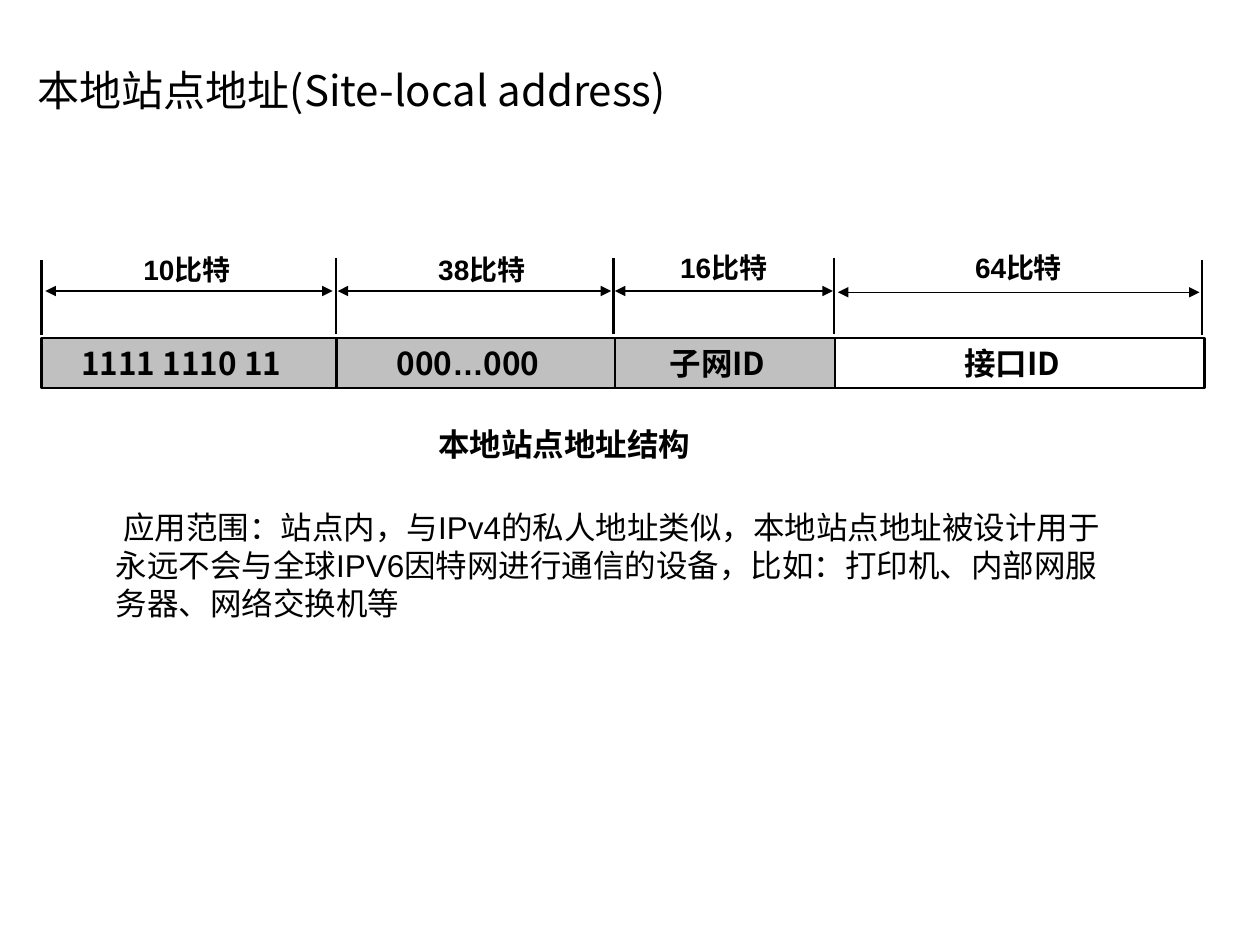
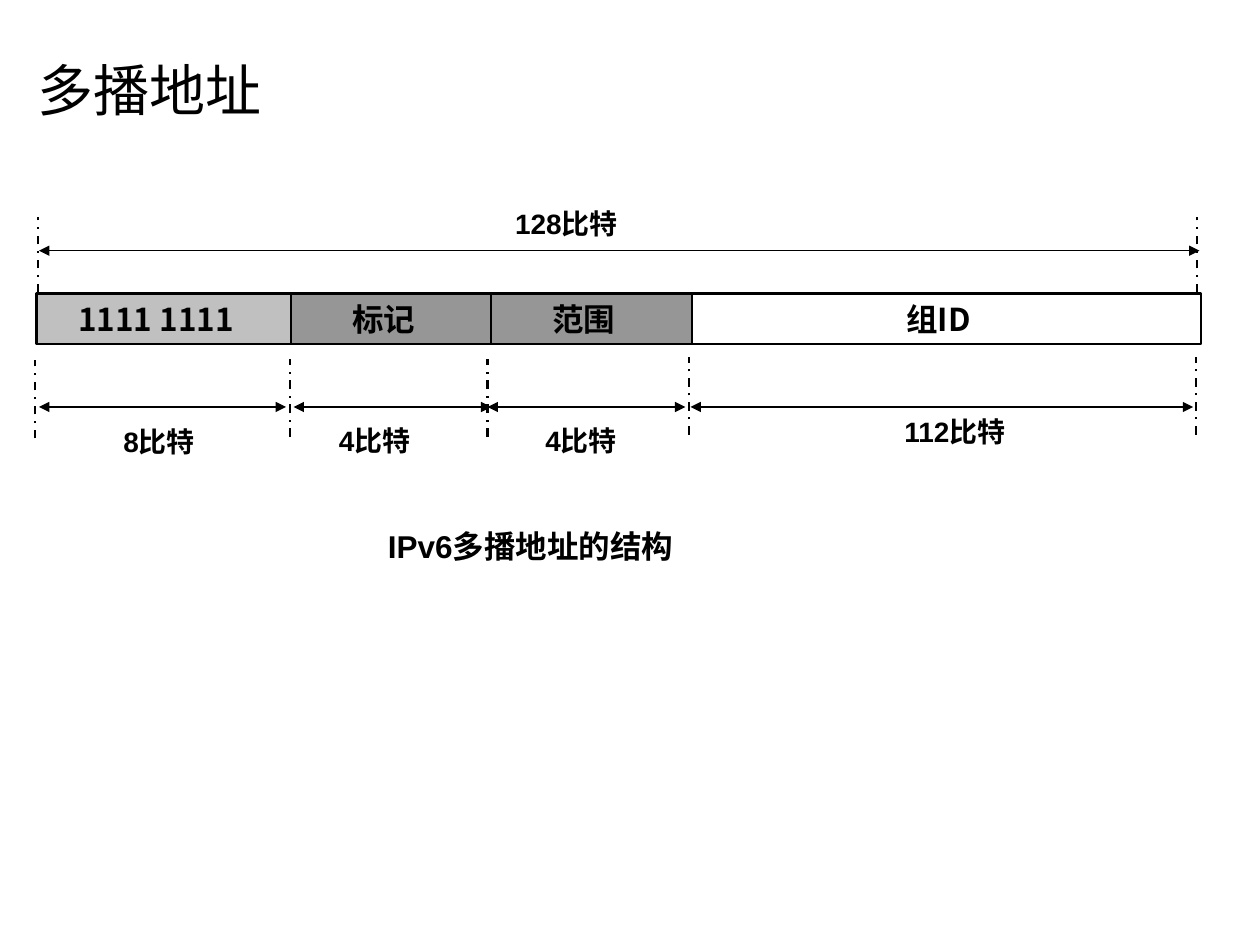
from itertools import accumulate
from typing import NamedTuple, Optional

from pptx import Presentation
from pptx.dml.color import RGBColor
from pptx.enum.dml import MSO_LINE_DASH_STYLE as DASH
from pptx.enum.shapes import MSO_CONNECTOR as CONNECTOR, MSO_SHAPE as SHAPE
from pptx.enum.text import MSO_ANCHOR as ANCHOR, MSO_AUTO_SIZE as FIT, PP_ALIGN as ALIGN
from pptx.oxml.ns import qn
from pptx.util import Emu, Pt

PX = 9144  # 100 px to the inch
BLACK, LIGHT, DARK = "000000", "C0C0C0", "969696"
ARIAL, NOTO = "Arial", "Noto Sans CJK SC"
FIELD_HEIGHT = 40
LINE_PITCH = 1.21


class Field(NamedTuple):
    text: str
    width: int
    fill: Optional[str] = None


class Span(NamedTuple):
    """A double arrow with the bit count it measures."""
    label: str
    label_left: int
    label_top: int
    label_width: int
    left: int
    right: int
    y: int


class Tick(NamedTuple):
    x: int
    top: int
    height: int


class Note(NamedTuple):
    text: str
    left: int
    top: int
    width: int
    height: int
    format: dict
    wrap: bool = False
    indent: int = 0


class Diagram(NamedTuple):
    title: str
    title_size: int
    left: int
    top: int
    fields: list[Field]
    spans: list[Span]
    ticks: list[Tick]
    dash: Optional[DASH]
    notes: list[Note]


LABEL = dict(name=ARIAL, size=Pt(16), bold=True)
CAPTION = dict(name=ARIAL, size=Pt(18), bold=True)
BODY = dict(name=ARIAL, size=Pt(18), bold=False)
FIELD = dict(name=NOTO, size=Pt(18), bold=True)

DIAGRAMS = [
    Diagram(
        "本地站点地址(Site-local address)", 24, 33, 268,
        [Field("1111 1110 11", 234, LIGHT), Field("000…000", 221, LIGHT),
         Field("子网ID", 175, LIGHT), Field("接口ID", 293)],
        [Span("10比特", 104, 195, 97, 36, 264, 231),
         Span("38比特", 338, 195, 97, 268, 485, 231),
         Span("16比特", 530, 194, 97, 488, 661, 231),
         Span("64比特", 764, 194, 97, 665, 952, 232)],
        [Tick(33, 206, 60), Tick(267, 205, 60), Tick(487, 205, 60),
         Tick(662, 205, 60), Tick(954, 206, 60)],
        None,
        [Note("本地站点地址结构", 338, 332, 223, 40, CAPTION),
         Note("应用范围：站点内，与IPv4的私人地址类似，本地站点地址被设计用于永远不会与"
              "全球IPV6因特网进行通信的设备，比如：打印机、内部网服务器、网络交换机等",
              82, 398, 803, 100, BODY, wrap=True, indent=6)],
    ),
    Diagram(
        "多播地址", 32, 29, 233,
        [Field("1111 1111", 202, LIGHT), Field("标记", 159, DARK),
         Field("范围", 159, DARK), Field("组ID", 404)],
        [Span("128比特", 399, 159, 110, 31, 952, 199),
         Span("8比特", 88, 332, 85, 31, 227, 323),
         Span("4比特", 259, 331, 85, 233, 390, 323),
         Span("4比特", 423, 331, 85, 387, 544, 323),
         Span("112比特", 708, 324, 110, 548, 947, 323)],
        [Tick(30, 172, 60), Tick(950, 172, 60), Tick(28, 286, 62),
         Tick(230, 285, 62), Tick(387, 285, 62), Tick(547, 283, 62),
         Tick(949, 283, 62)],
        DASH.DASH_DOT,
        [Note("IPv6多播地址的结构", 298, 413, 257, 40, CAPTION)],
    ),
]


def px(*lengths: int) -> list[Emu]:
    return [Emu(n * PX) for n in lengths]


def rgb(color: str) -> RGBColor:
    return RGBColor.from_string(color)


def set_all(target, values: dict) -> None:
    for name, value in values.items():
        setattr(target, name, value)


def write(tf, text: str, format: dict, align=ALIGN.LEFT, pitch: float = LINE_PITCH) -> None:
    """Fill the first paragraph; an ellipsis is always set in Arial."""
    p = tf.paragraphs[0]
    p.alignment = align
    if pitch:
        p.line_spacing = Pt(format["size"].pt * pitch)
    for piece in filter(None, text.partition("…")):
        r = p.add_run()
        r.text = piece
        set_all(r.font, format)
        if piece == "…":
            r.font.name = ARIAL
        r.font.color.rgb = rgb(BLACK)
        ea = r.font._element.makeelement(qn("a:ea"), {"typeface": NOTO})
        r.font._element.find(qn("a:latin")).addnext(ea)


def add_title(slide, text: str, size: int) -> None:
    sp = slide.shapes.title
    set_all(sp, dict(zip(("left", "top", "width", "height"), px(20, 52, 575, 38))))
    set_all(sp.text_frame, dict(auto_size=FIT.NONE, vertical_anchor=ANCHOR.MIDDLE))
    write(sp.text_frame, text, dict(name=NOTO, size=Pt(size), bold=False), pitch=0)


def add_field(slide, field: Field, left: int, top: int) -> None:
    sp = slide.shapes.add_shape(SHAPE.RECTANGLE, *px(left, top, field.width, FIELD_HEIGHT))
    sp.shadow.inherit = False
    if field.fill:
        sp.fill.solid()
        sp.fill.fore_color.rgb = rgb(field.fill)
    else:
        sp.fill.background()
    sp.line.color.rgb = rgb(BLACK)
    sp.line.width = Pt(1.25)
    inset, right_inset = px(10, 22)
    set_all(sp.text_frame, dict(margin_left=inset, margin_right=right_inset,
                                vertical_anchor=ANCHOR.MIDDLE))
    write(sp.text_frame, field.text, FIELD, ALIGN.CENTER)


def add_note(slide, note: Note) -> None:
    sp = slide.shapes.add_textbox(*px(note.left, note.top, note.width, note.height))
    tf = sp.text_frame
    set_all(tf, dict(word_wrap=note.wrap, auto_size=FIT.SHAPE_TO_FIT_TEXT))
    write(tf, note.text, note.format)
    if note.indent:
        tf.paragraphs[0]._p.get_or_add_pPr().set("indent", str(note.indent * PX))


def add_line(slide, x1: int, y1: int, x2: int, y2: int, width: float,
             dash: Optional[DASH] = None, arrows: bool = False) -> None:
    c = slide.shapes.add_connector(CONNECTOR.STRAIGHT, *px(x1, y1, x2, y2))
    c.line.color.rgb = rgb(BLACK)
    c.line.width = Pt(width)
    if dash:
        c.line.dash_style = dash
    sp_pr = c._element.spPr
    if arrows:
        ln = sp_pr.find(qn("a:ln"))
        for end in ("a:headEnd", "a:tailEnd"):
            ln.append(ln.makeelement(qn(end), {"type": "triangle"}))
    sp_pr.append(sp_pr.makeelement(qn("a:effectLst"), {}))


def add_span(slide, span: Span) -> None:
    add_line(slide, span.left, span.y, span.right, span.y, 0.75, arrows=True)
    add_note(slide, Note(span.label, span.label_left, span.label_top,
                         span.label_width, 37, LABEL))


def add_diagram(prs, diagram: Diagram) -> None:
    slide = prs.slides.add_slide(prs.slide_layouts.get_by_name("Title Only"))
    add_title(slide, diagram.title, diagram.title_size)
    lefts = accumulate((f.width for f in diagram.fields), initial=diagram.left)
    for field, left in zip(diagram.fields, lefts):
        add_field(slide, field, left, diagram.top)
    for tick in diagram.ticks:
        add_line(slide, tick.x, tick.top + tick.height, tick.x, tick.top, 1.25, diagram.dash)
    for span in diagram.spans:
        add_span(slide, span)
    for note in diagram.notes:
        add_note(slide, note)


def main() -> None:
    prs = Presentation()
    prs.slide_width, prs.slide_height = px(1000, 750)
    for diagram in DIAGRAMS:
        add_diagram(prs, diagram)
    prs.save("out.pptx")


if __name__ == "__main__":
    main()
